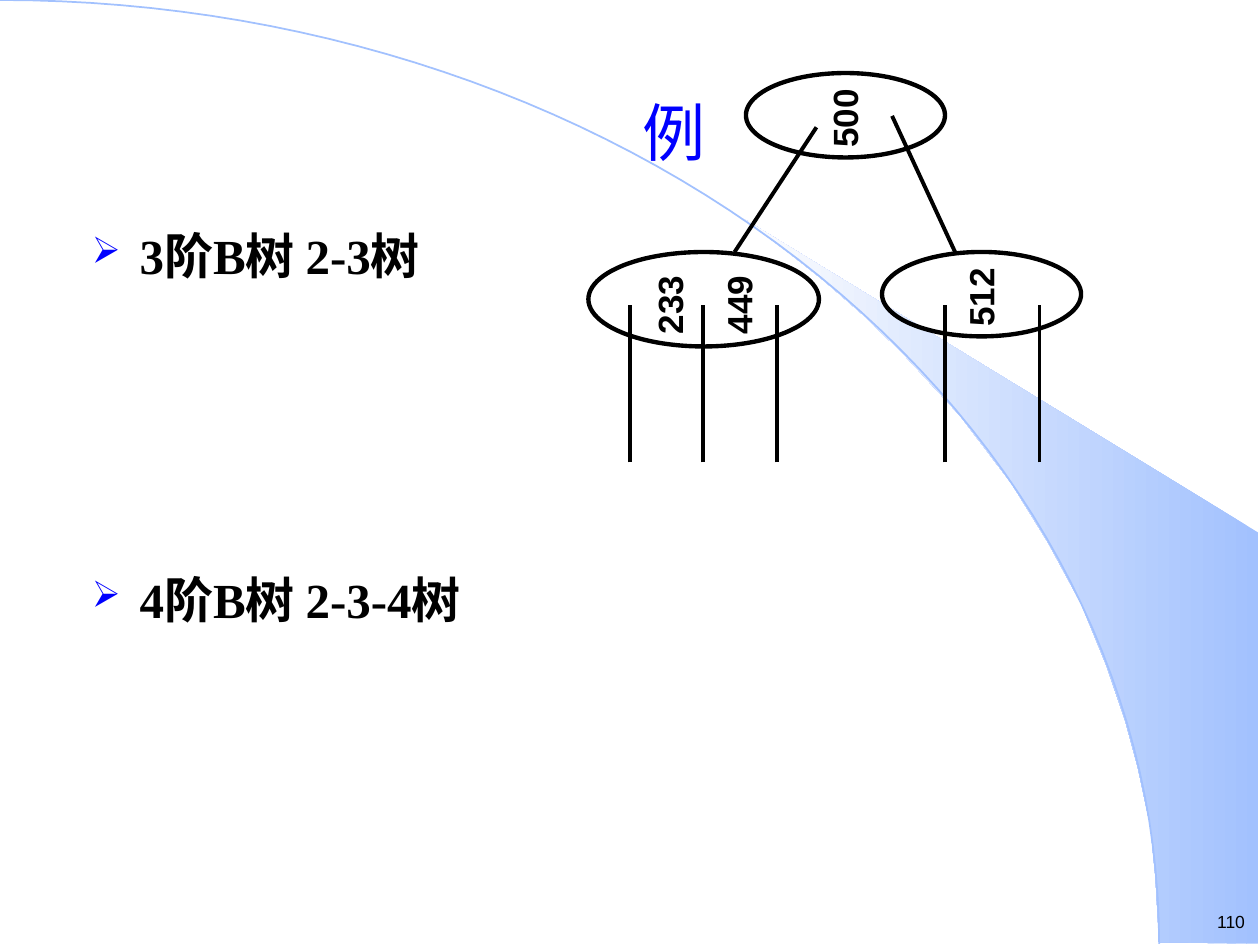
from dataclasses import dataclass
from math import cos, pi, sin

from lxml import etree
from pptx import Presentation
from pptx.dml.color import RGBColor
from pptx.enum.shapes import MSO_CONNECTOR, MSO_SHAPE
from pptx.enum.text import MSO_ANCHOR, PP_ALIGN
from pptx.oxml.ns import qn
from pptx.util import Inches, Pt

STRAIGHT = MSO_CONNECTOR.STRAIGHT
ELLIPSE = MSO_SHAPE.OVAL
CENTER, LEFT, RIGHT = PP_ALIGN.CENTER, PP_ALIGN.LEFT, PP_ALIGN.RIGHT
TOP, MIDDLE, BOTTOM = MSO_ANCHOR.TOP, MSO_ANCHOR.MIDDLE, MSO_ANCHOR.BOTTOM


@dataclass(frozen=True)
class Theme:
    ink: RGBColor = RGBColor(0, 0, 0)
    accent: RGBColor = RGBColor(0, 0, 0xFF)
    sky: RGBColor = RGBColor(0xA2, 0xC1, 0xFE)
    pale: RGBColor = RGBColor(0xFE, 0xFE, 0xFE)
    serif: str = "Times New Roman"
    sans: str = "Arial"
    title_size: int = 36
    body_size: int = 28
    key_size: int = 20
    number_size: int = 10
    node_line: float = 2.5
    edge_line: float = 2.25


THEME = Theme()

SWOOSH = [
    (9.2, 7.48), (9.99, 7.49), (9.99, 4.23), (5.89, 1.73), (6.24, 1.99),
    (6.53, 2.22), (6.85, 2.5), (7.16, 2.8), (7.62, 3.3), (8.03, 3.84),
    (8.32, 4.31), (8.58, 4.79), (8.78, 5.28), (8.93, 5.72), (9.03, 6.09),
    (9.13, 6.56), (9.17, 6.96),
]
ARC_WIDTH, ARC_HEIGHT, ARC_STEPS = 9.2, 7.49, 60

# Tree nodes: ellipse box, then keys as (text, centre x, centre y)
NODES = [
    ((5.92, 0.58, 1.58, 0.67), [("500", 6.7, 0.94)]),
    ((4.67, 2, 1.83, 0.75), [("233", 5.31, 2.42), ("449", 5.86, 2.42)]),
    ((7, 2, 1.58, 0.67), [("512", 7.78, 2.36)]),
]
BRANCHES = [((5.83, 2), (6.48, 1.01)), ((7.58, 2), (7.08, 0.92))]
LEAF_XS = [5, 5.58, 6.17, 7.5, 8.25]
LEAF_TOP, LEAF_BOTTOM = 2.42, 3.67


def add_outline(slide, points, close):
    start, *rest = [(Inches(x), Inches(y)) for x, y in points]
    builder = slide.shapes.build_freeform(*start)
    builder.add_line_segments(rest, close=close)
    outline = builder.convert_to_shape()
    outline.shadow.inherit = False
    return outline


def add_background(slide):
    swoosh = add_outline(slide, SWOOSH, True)
    swoosh.line.fill.background()
    swoosh.fill.gradient()
    swoosh.fill.gradient_angle = 180
    for stop, color in zip(swoosh.fill.gradient_stops, (THEME.sky, THEME.pale)):
        stop.color.rgb = color

    angles = [pi / 2 * step / ARC_STEPS for step in range(ARC_STEPS + 1)]
    arc = add_outline(
        slide,
        [(ARC_WIDTH * sin(a), ARC_HEIGHT * (1 - cos(a))) for a in angles],
        False,
    )
    arc.fill.background()
    arc.line.color.rgb = THEME.sky
    arc.line.width = Pt(1)


def add_text(slide, box, lines, font, size, color=THEME.ink, bold=False,
             align=LEFT, anchor=TOP, margins=(0.1, 0.05)):
    label = slide.shapes.add_textbox(*map(Inches, box))
    frame = label.text_frame
    frame.word_wrap = True
    frame.vertical_anchor = anchor
    frame.margin_left = frame.margin_right = Inches(margins[0])
    frame.margin_top = frame.margin_bottom = Inches(margins[1])
    frame.text = "\n".join(lines)
    for paragraph in frame.paragraphs:
        paragraph.alignment = align
        for run in paragraph.runs:
            run.font.name = font
            run.font.size = Pt(size)
            run.font.bold = bold
            run.font.color.rgb = color
    return label


def add_bullet(paragraph):
    properties = paragraph._p.get_or_add_pPr()
    properties.set("marL", str(Inches(0.38)))
    properties.set("indent", str(-Inches(0.38)))
    bullet_color = etree.SubElement(properties, qn("a:buClr"))
    etree.SubElement(bullet_color, qn("a:srgbClr"), val=str(THEME.accent))
    etree.SubElement(properties, qn("a:buSzPct"), val="75000")
    etree.SubElement(properties, qn("a:buChar"), char="➢")


def add_edge(slide, start, end):
    edge = slide.shapes.add_connector(STRAIGHT, *map(Inches, (*start, *end)))
    edge.line.color.rgb = THEME.ink
    edge.line.width = Pt(THEME.edge_line)
    etree.SubElement(edge._element.spPr, qn("a:effectLst"))


def add_node(slide, box, keys):
    node = slide.shapes.add_shape(ELLIPSE, *map(Inches, box))
    node.shadow.inherit = False
    node.fill.background()
    node.line.color.rgb = THEME.ink
    node.line.width = Pt(THEME.node_line)
    width, height = 0.57, 0.31
    for key, x, y in keys:
        label = add_text(slide, (x - width / 2, y - height / 2, width, height),
                         [key], THEME.sans, THEME.key_size, bold=True,
                         align=CENTER, anchor=MIDDLE, margins=(0, 0))
        label.rotation = 270


def main():
    deck = Presentation()
    deck.slide_width, deck.slide_height = Inches(10), Inches(7.5)
    slide = deck.slides.add_slide(deck.slide_layouts[6])

    add_background(slide)

    # Slide number, title and the two tree types
    add_text(slide, (9.41, 7.18, 0.49, 0.27), ["110"], THEME.sans,
             THEME.number_size, align=RIGHT, margins=(0.02, 0.05))
    add_text(slide, (1.06, 0.21, 8.58, 1.18), ["例"], THEME.serif,
             THEME.title_size, THEME.accent, align=CENTER, anchor=BOTTOM)
    tree_types = add_text(slide, (0.63, 1.74, 8.98, 4.77),
                          ["3阶B树 2-3树", "4阶B树 2-3-4树"],
                          THEME.serif, THEME.body_size, bold=True)
    for paragraph in tree_types.text_frame.paragraphs:
        add_bullet(paragraph)
    tree_types.text_frame.paragraphs[1].space_before = Pt(163)

    # Example 2-3 tree
    for box, keys in NODES:
        add_node(slide, box, keys)
    for child, parent in BRANCHES:
        add_edge(slide, child, parent)
    for x in LEAF_XS:
        add_edge(slide, (x, LEAF_BOTTOM), (x, LEAF_TOP))

    deck.save("out.pptx")


if __name__ == "__main__":
    main()
